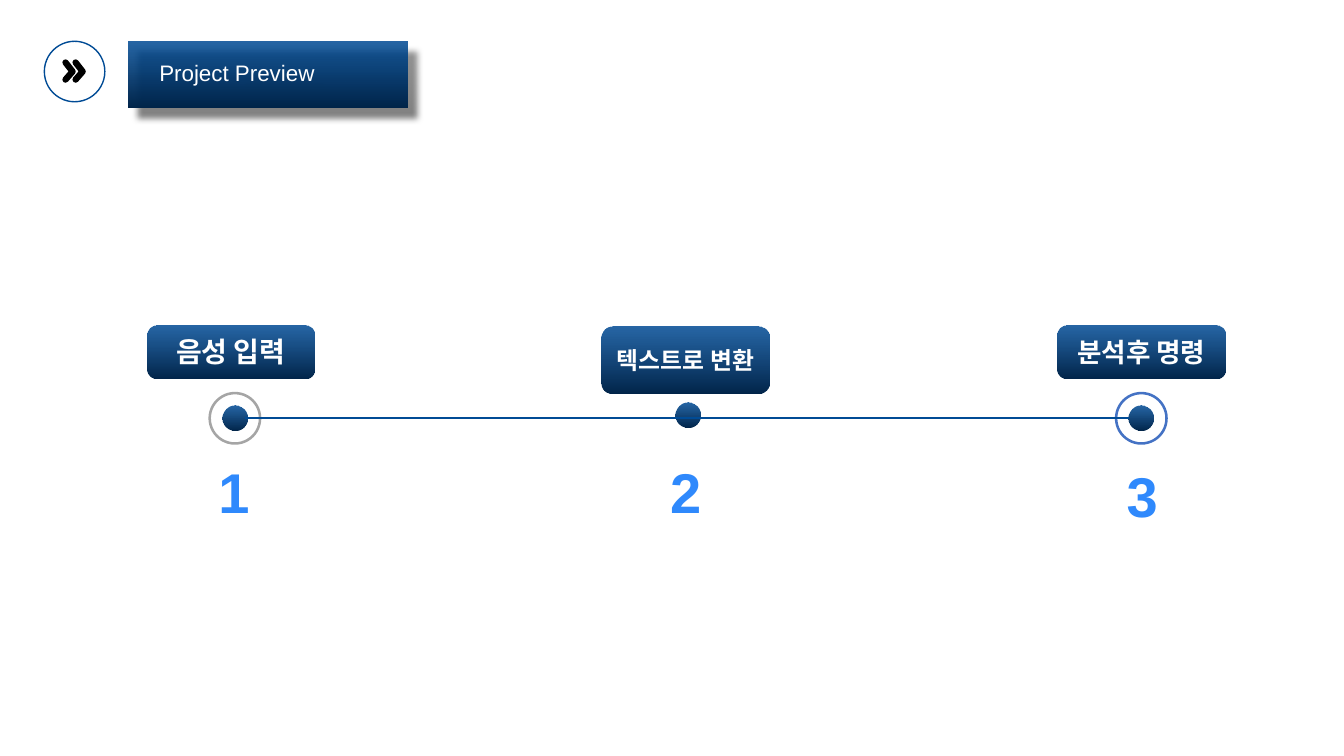
from lxml import etree
from pptx import Presentation
from pptx.dml.color import RGBColor
from pptx.enum.shapes import MSO_CONNECTOR, MSO_SHAPE
from pptx.enum.text import MSO_ANCHOR, MSO_AUTO_SIZE, PP_ALIGN
from pptx.oxml import parse_xml
from pptx.oxml.ns import nsdecls, qn
from pptx.util import Inches, Pt

TITLE = "Project Preview"
GRAY = RGBColor(0xA5, 0xA5, 0xA5)
BLUE = RGBColor(0x44, 0x72, 0xC4)
NAVY = RGBColor(0x00, 0x4B, 0x95)
DARK = RGBColor(0x00, 0x25, 0x4A)
SKY = RGBColor(0x2F, 0x89, 0xFC)
WHITE = RGBColor(0xFF, 0xFF, 0xFF)
BLACK = RGBColor(0, 0, 0)

# label, size, left, top, height, dot x, dot y, ring, number x, number top
STEPS = [
    ("음성 입력", 20, 1.46, 3.23, 0.52, 2.33, 4.15, GRAY, 2.32, 4.5),
    ("텍스트로 변환", 17, 5.97, 3.24, 0.66, 6.82, 4.12, None, 6.8, 4.5),
    ("분석후 명령", 19, 10.49, 3.23, 0.52, 11.32, 4.15, BLUE, 11.33, 4.54),
]
TAG_W, DOT, RING, NUM_W, NUM_H = 1.66, 0.25, 0.5, 1, 0.74

OVAL, ROUND = MSO_SHAPE.OVAL, MSO_SHAPE.ROUNDED_RECTANGLE
CENTER, JUSTIFY = PP_ALIGN.CENTER, PP_ALIGN.JUSTIFY
MIDDLE, FIXED = MSO_ANCHOR.MIDDLE, MSO_AUTO_SIZE.NONE
STRAIGHT = MSO_CONNECTOR.STRAIGHT


def box(*dims):
    return [Inches(d) for d in dims]


def shade(shape):
    fill = shape.fill
    fill.gradient()
    fill.gradient_angle = 270
    for stop, color, place in zip(fill.gradient_stops, (NAVY, DARK), (0, 1)):
        stop.color.rgb = color
        stop.position = place
    first = shape._element.spPr.find(".//" + qn("a:srgbClr"))
    etree.SubElement(first, qn("a:alpha")).set("val", "85000")


def add(slide, kind, dims, line=None, width=1):
    shape = slide.shapes.add_shape(kind, *box(*dims))
    shape.shadow.inherit = False
    if line is None:
        shade(shape)
        shape.line.fill.background()
    else:
        shape.fill.background()
        shape.line.color.rgb = line
        shape.line.width = Pt(width)
    return shape


def write(shape, text, size, color, bold=True, align=CENTER, left=0):
    frame = shape.text_frame
    frame.word_wrap = True
    frame.auto_size = FIXED
    frame.vertical_anchor = MIDDLE
    frame.margin_left = Inches(left)
    frame.margin_right = frame.margin_top = frame.margin_bottom = 0
    para = frame.paragraphs[0]
    para.alignment = align
    run = para.add_run()
    run.text = text
    run.font.name = "Arial"
    run.font.size = Pt(size)
    run.font.bold = bold
    run.font.color.rgb = color
    return para


def head(slide):
    title = slide.shapes.title
    title.left, title.top, title.width, title.height = box(1.27, 0.41, 2.77, 0.66)
    shade(title)
    title._element.spPr.append(parse_xml(
        f'<a:effectLst {nsdecls("a")}><a:outerShdw blurRad="57150" '
        'dist="133350" dir="2760000" algn="tl" rotWithShape="0">'
        '<a:srgbClr val="000000"><a:alpha val="50000"/></a:srgbClr>'
        '</a:outerShdw></a:effectLst>'))
    write(title, TITLE, 16, WHITE, False, JUSTIFY, 0.31).line_spacing = 0.9
    add(slide, OVAL, (0.44, 0.41, 0.6, 0.6), NAVY)
    for x in (0.65, 0.75):
        path = slide.shapes.build_freeform(*box(x, 0.62))
        path.add_line_segments([box(x + 0.07, 0.71), box(x, 0.79)], close=False)
        mark = path.convert_to_shape()
        mark.shadow.inherit = False
        mark.fill.background()
        mark.line.color.rgb = BLACK
        mark.line.width = Pt(4.5)
        edge = mark._element.spPr.find(qn("a:ln"))
        edge.set("cap", "rnd")
        etree.SubElement(edge, qn("a:round"))


def step(slide, name, size, left, top, high, x, y, ring, mid, low):
    tag = add(slide, ROUND, (left, top, TAG_W, high))
    tag.adjustments[0] = 0.167
    write(tag, name, size, WHITE)
    add(slide, OVAL, (x - DOT / 2, y - DOT / 2, DOT, DOT))
    if ring is not None:
        add(slide, OVAL, (x - RING / 2, y - RING / 2, RING, RING), ring, 1.8)
    return slide.shapes.add_textbox(*box(mid - NUM_W / 2, low, NUM_W, NUM_H))


def main():
    """Build the three-step project preview slide."""
    deck = Presentation()
    deck.slide_width, deck.slide_height = box(13.33, 7.5)
    slide = deck.slides.add_slide(deck.slide_layouts[5])
    head(slide)
    for count, item in enumerate(STEPS, 1):
        write(step(slide, *item), str(count), 40, SKY)
    rail = slide.shapes.add_connector(STRAIGHT, *box(2.43, 4.15, 11.2, 4.15))
    rail.line.color.rgb = NAVY
    rail.line.width = Pt(1.5)
    etree.SubElement(rail._element.spPr, qn("a:effectLst"))
    deck.save("out.pptx")


if __name__ == "__main__":
    main()
